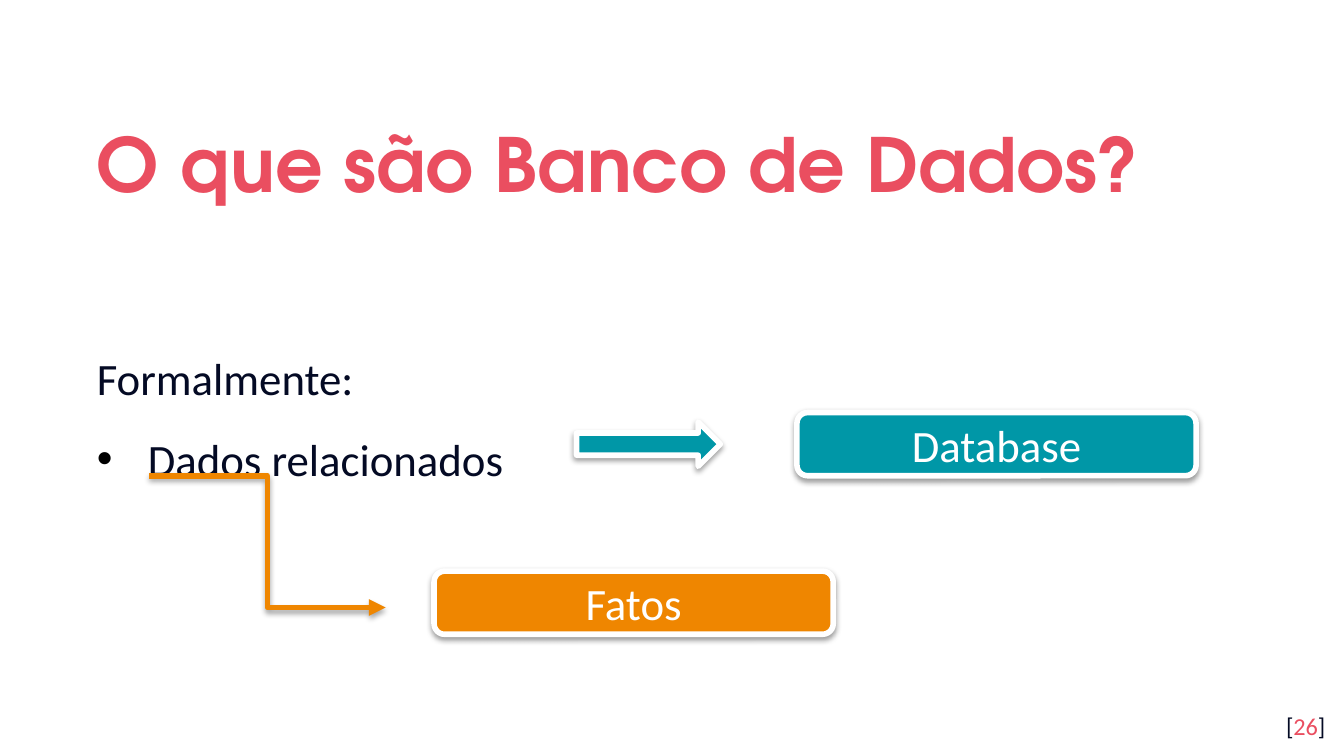
from lxml.etree import SubElement as Sub
from pptx import Presentation
from pptx.dml.color import RGBColor as Rgb
from pptx.enum.shapes import MSO_CONNECTOR as Link, MSO_SHAPE as Form
from pptx.enum.text import MSO_ANCHOR as Anchor, MSO_AUTO_SIZE as Fit, PP_ALIGN as Align
from pptx.oxml.ns import qn
from pptx.util import Inches, Pt

INK, PINK, TEAL, GOLD, WHITE = "040A24", "EA4E60", "0097A7", "EF8600", "FFFFFF"


def tint(code):
    """Turn a hex string into a colour."""
    return Rgb.from_string(code)


def put(item, vals):
    """Set each attribute of an item from a dict."""
    for name, val in vals.items():
        setattr(item, name, val)


def place(item, box):
    """Move an item to a box given in inches."""
    put(item, dict(zip(("left", "top", "width", "height"), map(Inches, box))))


def setup(shape, anchor, pad=0.1):
    """Prepare the text frame of a shape and return it."""
    frame = shape.text_frame
    put(frame, {"word_wrap": True, "auto_size": Fit.NONE, "vertical_anchor": anchor})
    sides = ("left", "right", "top", "bottom")
    put(frame, {f"margin_{side}": Inches(pad) for side in sides})
    return frame


def write(para, text, size, hue, face="Calibri", bold=False):
    """Add a run of text to a paragraph."""
    run = para.add_run()
    run.text = text
    put(run.font, {"size": Pt(size), "name": face, "bold": bold})
    run.font.color.rgb = tint(hue)


def shade(shape, alpha=38, dist=1.6):
    """Give a shape a soft shadow below it."""
    effects = Sub(shape.element.spPr, qn("a:effectLst"))
    drop = Sub(effects, qn("a:outerShdw"), blurRad=str(Pt(3.1)), dist=str(Pt(dist)),
               dir="5400000", rotWithShape="0")
    black = Sub(drop, qn("a:srgbClr"), val="000000")
    Sub(black, qn("a:alpha"), val=str(alpha * 1000))


def indent(para, bullet=None):
    """Set a hanging bullet, or none, on a paragraph."""
    props = para._p.get_or_add_pPr()
    depth = Inches(0.38) if bullet else 0
    props.set("marL", str(depth))
    props.set("indent", str(-depth))
    if bullet:
        Sub(Sub(props, qn("a:buClr")), qn("a:srgbClr"), val="000000")
        Sub(props, qn("a:buFont"), typeface="Arial")
        Sub(props, qn("a:buChar"), char=bullet)
    else:
        Sub(props, qn("a:buNone"))


def head(slide, box):
    """Fill the title."""
    title = slide.shapes.title
    place(title, box)
    para = setup(title, Anchor.MIDDLE).paragraphs[0]
    put(para, {"alignment": Align.LEFT, "line_spacing": 1.15, "space_before": Pt(0)})
    write(para, "O que são Banco de Dados?", 40, PINK, "TeX Gyre Adventor", True)


def body(slide, box):
    """Fill the list."""
    holder = slide.placeholders[1]
    place(holder, box)
    frame = setup(holder, Anchor.MIDDLE)
    rows = (("Formalmente:", None, 0), ("Dados relacionados", "•", 10))
    for row, (text, bullet, gap) in enumerate(rows):
        para = frame.add_paragraph() if row else frame.paragraphs[0]
        put(para, {"alignment": Align.JUSTIFY, "line_spacing": 1.15,
                   "space_before": Pt(gap)})
        indent(para, bullet)
        write(para, text, 24, INK)


def block(slide, form, box, hue, text=None):
    """Draw a filled shape with a white rim and an optional label."""
    shape = slide.shapes.add_shape(form, *map(Inches, box))
    shape.fill.solid()
    shape.fill.fore_color.rgb = tint(hue)
    shape.line.color.rgb = tint(WHITE)
    shape.line.width = Pt(3)
    shade(shape)
    if text:
        para = setup(shape, Anchor.MIDDLE, 0.05).paragraphs[0]
        para.alignment = Align.CENTER
        write(para, text, 24, WHITE)


def elbow(slide, box, hue):
    """Draw a bent arrow from the top left to the bottom right of a box."""
    left, top, width, height = box
    ends = (left, top, left + width, top + height)
    link = slide.shapes.add_connector(Link.ELBOW, *map(Inches, ends))
    link.line.color.rgb = tint(hue)
    link.line.width = Pt(3)
    Sub(link.element.spPr.find(qn("a:ln")), qn("a:tailEnd"), type="triangle")
    shade(link, 35, 1.8)


def diagram(slide, box):
    """Draw the labelled blocks and their arrows."""
    left, top, width, height = box
    wide, high = 2.97, 0.47
    block(slide, Form.ROUNDED_RECTANGLE, (left + width - wide, top, wide, high),
          TEAL, "Database")
    block(slide, Form.RIGHT_ARROW, (left + 3.18, top + 0.07, 1.07, 0.33), TEAL)
    elbow(slide, (left, top + high, 1.76, 0.98), GOLD)
    block(slide, Form.ROUNDED_RECTANGLE, (left + 2.12, top + height - high, wide, high),
          GOLD, "Fatos")


def folio(slide, box):
    """Write the page number in brackets."""
    shape = slide.shapes.add_textbox(*map(Inches, box))
    para = setup(shape, Anchor.TOP).paragraphs[0]
    para.alignment = Align.RIGHT
    for text, hue in (("[", INK), ("26", PINK), ("]", INK)):
        write(para, text, 13, hue)


def main():
    """Build and save the slide."""
    deck = Presentation()
    wide = Inches(10)
    put(deck, {"slide_width": wide, "slide_height": wide * 9 // 16})
    slide = deck.slides.add_slide(deck.slide_layouts[1])
    body(slide, (0.62, 1.62, 8.77, 2.92))
    head(slide, (0.62, 0.7, 8.77, 0.92))
    folio(slide, (9.36, 5.19, 0.6, 0.43))
    diagram(slide, (1.11, 3.07, 7.79, 1.65))
    deck.save("out.pptx")


if __name__ == "__main__":
    main()
